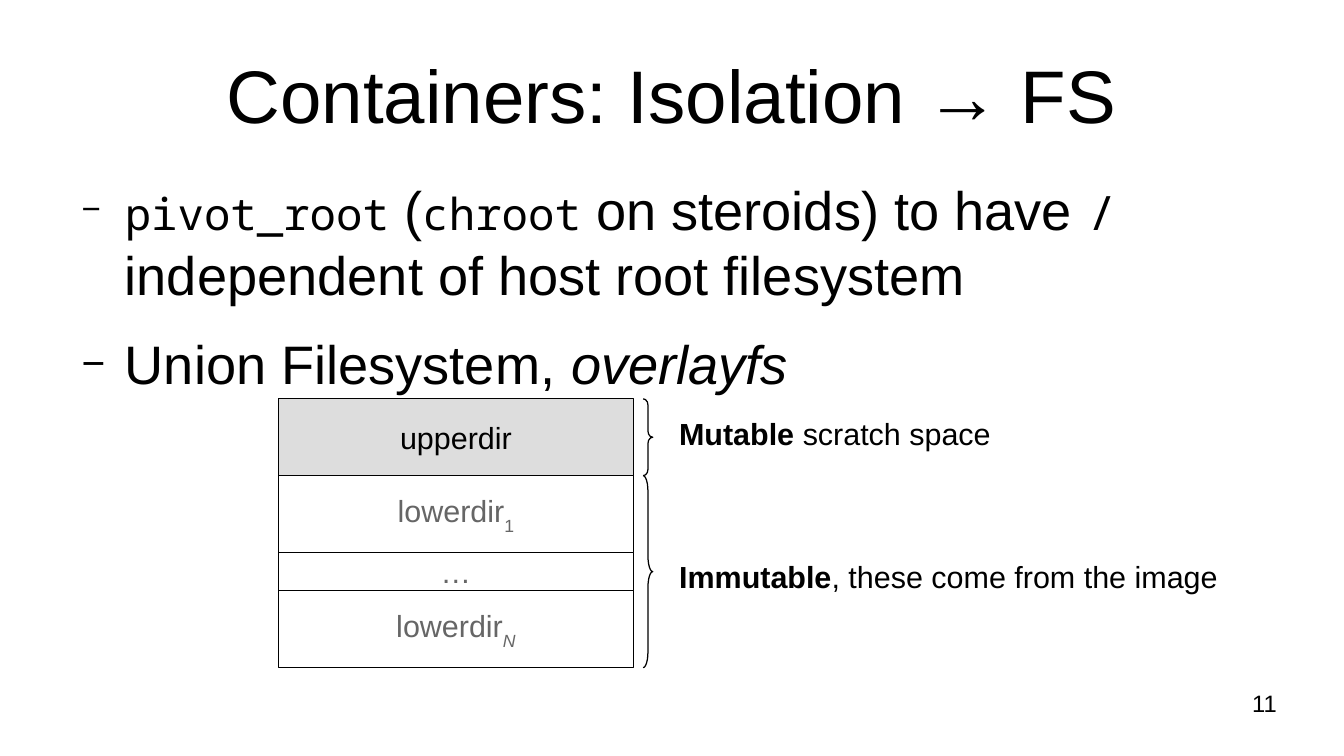
from lxml import etree
from pptx import Presentation
from pptx.dml.color import RGBColor
from pptx.enum.shapes import MSO_SHAPE
from pptx.enum.text import MSO_ANCHOR, MSO_AUTO_SIZE, PP_ALIGN
from pptx.oxml.ns import qn
from pptx.util import Cm, Pt

RECT, BRACE = MSO_SHAPE.RECTANGLE, MSO_SHAPE.RIGHT_BRACE
TOP, MIDDLE = MSO_ANCHOR.TOP, MSO_ANCHOR.MIDDLE
LEFT, CENTER, RIGHT = PP_ALIGN.LEFT, PP_ALIGN.CENTER, PP_ALIGN.RIGHT
NO_FIT = MSO_AUTO_SIZE.NONE

BLACK = RGBColor(0x00, 0x00, 0x00)
GRAY = RGBColor(0x66, 0x66, 0x66)
LIGHT = RGBColor(0xDD, 0xDD, 0xDD)
WHITE = RGBColor(0xFF, 0xFF, 0xFF)
SANS, MONO = "Arial", "Noto Sans Mono"

TITLE = "Containers: Isolation → FS"
BULLETS = [
    [("pivot_root", {"size": 26, "font": MONO}), (" (", {}),
     ("chroot", {"size": 26, "font": MONO}), (" on steroids) to have ", {}),
     ("/", {"size": 28, "font": MONO}),
     (" independent of host root filesystem", {})],
    [("Union Filesystem, ", {}), ("overlayfs", {"italic": True})],
]
LAYERS = [
    (1.6, LIGHT, BLACK, [("upperdir", {})]),
    (1.6, WHITE, GRAY, [("lowerdir", {}), ("1", {"sub": True})]),
    (0.8, WHITE, GRAY, [("…", {})]),
    (1.6, WHITE, GRAY, [("lowerdir", {}), ("N", {"sub": True, "italic": True})]),
]
GROUPS = [
    (1, 8.53, 7.11, 0.65, [("Mutable ", {"bold": True}), ("scratch space", {})]),
    (3, 11.5, 12.1, 1.65,
     [("Immutable", {"bold": True}), (", these come from the image", {})]),
]
NUMBER = "11"
STACK_LEFT, STACK_TOP, STACK_WIDTH = 5.8, 8.31, 7.4
BRACE_LEFT, BRACE_WIDTH = 13.4, 0.2
LABEL_LEFT, LABEL_HEIGHT = 13.9, 0.97


def box(left, top, width, height):
    return Cm(left), Cm(top), Cm(width), Cm(height)


def write(p, runs, size, color=BLACK, align=LEFT):
    p.alignment = align
    for text, style in runs:
        r = p.add_run()
        r.text = text
        r.font.name = style.get("font", SANS)
        r.font.size = Pt(style.get("size", size))
        r.font.bold = style.get("bold", False)
        r.font.italic = style.get("italic", False)
        r.font.color.rgb = color
        if style.get("sub"):
            r.font._element.set("baseline", "-33000")


def setup(tf, anchor=TOP, wrap=True, inset=0):
    tf.auto_size = NO_FIT
    tf.word_wrap = wrap
    tf.vertical_anchor = anchor
    tf.margin_left = tf.margin_right = Cm(inset)
    tf.margin_top = tf.margin_bottom = Cm(inset / 2)


def add_dash(p):
    pPr = p._p.get_or_add_pPr()
    pPr.set("marL", str(Cm(1.2)))
    pPr.set("indent", str(-Cm(0.9)))
    color = etree.SubElement(pPr, qn("a:buClr"))
    etree.SubElement(color, qn("a:srgbClr"), val=str(BLACK))
    etree.SubElement(pPr, qn("a:buSzPct"), val="75000")
    etree.SubElement(pPr, qn("a:buFont"), typeface=SANS)
    etree.SubElement(pPr, qn("a:buChar"), char="−")


def add_outlined(s, kind, place, fill=None):
    sp = s.shapes.add_shape(kind, *place)
    sp.shadow.inherit = False
    sp.line.color.rgb = BLACK
    sp.line.width = Pt(0)
    if fill is None:
        sp.fill.background()
    else:
        sp.fill.solid()
        sp.fill.fore_color.rgb = fill
    return sp


def add_label(s, place, runs, size, align=LEFT, inset=0):
    tf = s.shapes.add_textbox(*place).text_frame
    setup(tf, inset=inset)
    write(tf.paragraphs[0], runs, size, align=align)


def add_text(s):
    title, body = s.shapes.title, s.placeholders[1]
    title.left, title.top, title.width, title.height = box(1.4, 0.64, 25.2, 2.63)
    body.left, body.top, body.width, body.height = box(1.4, 3.68, 25.2, 9.13)
    setup(title.text_frame, MIDDLE)
    write(title.text_frame.paragraphs[0], [(TITLE, {})], 44, align=CENTER)
    tf = body.text_frame
    setup(tf)
    for i, runs in enumerate(BULLETS):
        p = tf.add_paragraph() if i else tf.paragraphs[0]
        p.space_before = Pt(14.2)
        add_dash(p)
        write(p, runs, 32)


def add_stack(s):
    top = STACK_TOP
    for height, fill, color, runs in LAYERS:
        sp = add_outlined(s, RECT, box(STACK_LEFT, top, STACK_WIDTH, height), fill)
        setup(sp.text_frame, MIDDLE, wrap=False, inset=0.25)
        write(sp.text_frame.paragraphs[0], runs, 18, color, CENTER)
        top += height

    first, top = 0, STACK_TOP
    for count, label_top, label_width, curve, runs in GROUPS:
        height = sum(layer[0] for layer in LAYERS[first:first + count])
        sp = add_outlined(s, BRACE, box(BRACE_LEFT, top, BRACE_WIDTH, height))
        sp.adjustments[0] = curve
        add_label(s, box(LABEL_LEFT, label_top, label_width, LABEL_HEIGHT),
                  runs, 18, inset=0.25)
        first, top = first + count, top + height


def main():
    """Build the slide on container filesystem isolation."""
    prs = Presentation()
    prs.slide_width, prs.slide_height = Cm(28), Cm(15.75)
    s = prs.slides.add_slide(prs.slide_layouts[1])
    add_text(s)
    add_stack(s)
    add_label(s, box(20.07, 14.35, 6.53, 1.09), [(NUMBER, {})], 14, RIGHT)
    prs.save("out.pptx")


if __name__ == "__main__":
    main()
